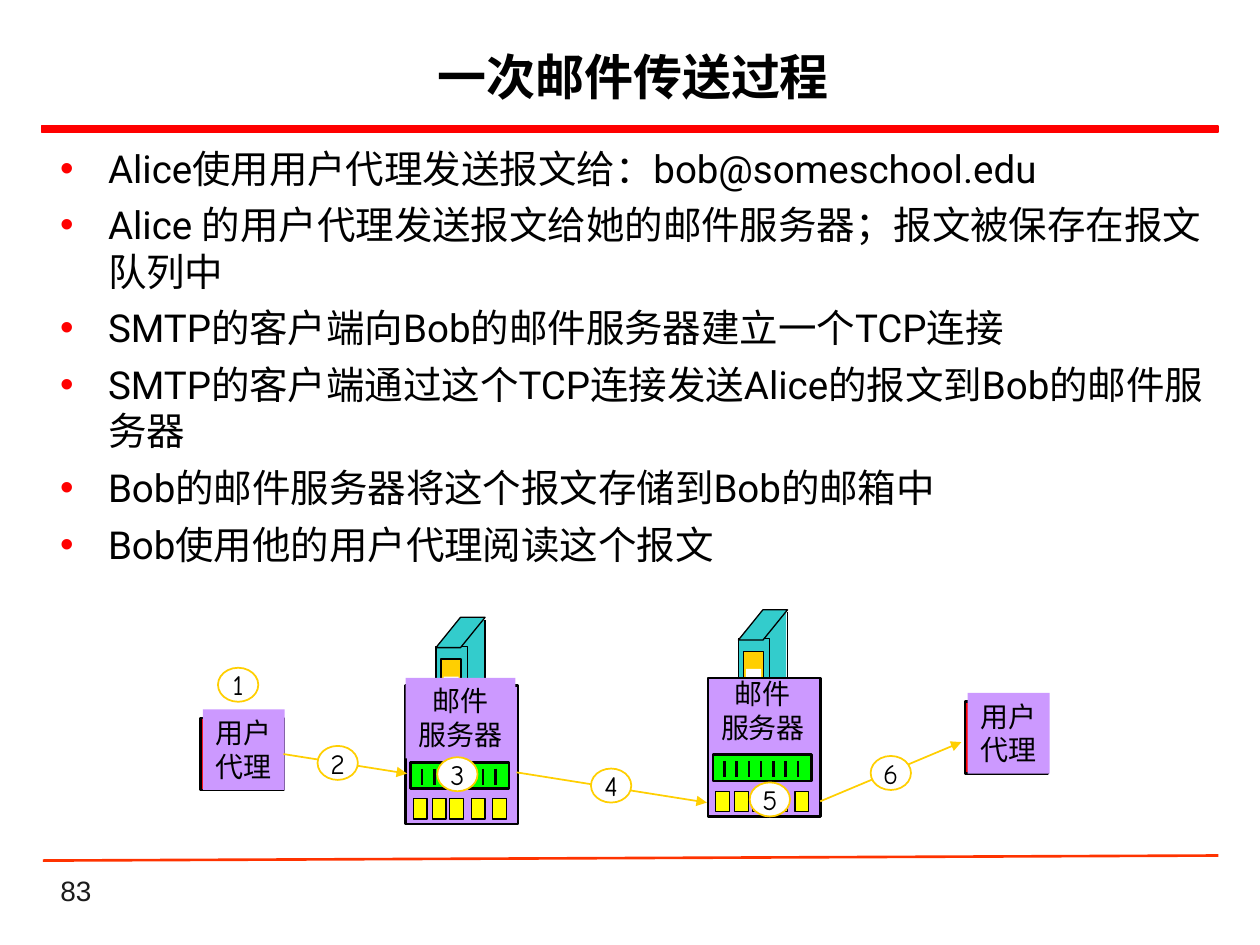
import pptx
import pptx.util
import pptx.dml.color
import pptx.enum.shapes
import pptx.enum.text
import pptx.oxml.ns
from lxml import etree

Inches = pptx.util.Inches
Pt = pptx.util.Pt
SHAPE = pptx.enum.shapes.MSO_SHAPE
ANCHOR = pptx.enum.text.MSO_ANCHOR
ALIGN = pptx.enum.text.PP_ALIGN
qn = pptx.oxml.ns.qn

COLORS = {
    "black": "000000", "white": "FFFFFF", "number": "1C1C1C", "red": "FF0000",
    "footer": "FF3300", "purple": "CC99FF", "teal": "33CCCC", "gold": "FFCF01",
    "green": "00FF00", "yellow": "FFFF00",
}
TITLE = "一次邮件传送过程"
STEPS = [
    "Alice使用用户代理发送报文给：bob@someschool.edu",
    "Alice 的用户代理发送报文给她的邮件服务器；报文被保存在报文队列中",
    "SMTP的客户端向Bob的邮件服务器建立一个TCP连接",
    "SMTP的客户端通过这个TCP连接发送Alice的报文到Bob的邮件服务器",
    "Bob的邮件服务器将这个报文存储到Bob的邮箱中",
    "Bob使用他的用户代理阅读这个报文",
]
MARKERS = [(1.73, 5.3), (2.52, 5.92), (3.47, 6.01), (4.69, 6.1), (5.95, 6.21), (6.91, 6)]


def rgb(name):
    return pptx.dml.color.RGBColor.from_string(COLORS[name])


def add_box(slide, box, fill, line=None, width=0.75, kind=SHAPE.RECTANGLE):
    shape = slide.shapes.add_shape(kind, *map(Inches, box))
    shape.shadow.inherit = False
    if fill:
        shape.fill.solid()
        shape.fill.fore_color.rgb = rgb(fill)
    else:
        shape.fill.background()
    if line:
        shape.line.color.rgb = rgb(line)
        shape.line.width = Pt(width)
    else:
        shape.line.fill.background()
    return shape


def add_line(slide, start, end, color, width, arrow=False):
    line = slide.shapes.add_connector(
        pptx.enum.shapes.MSO_CONNECTOR.STRAIGHT, *map(Inches, (*start, *end)))
    line.line.color.rgb = rgb(color)
    line.line.width = Pt(width)
    if arrow:
        etree.SubElement(line.line._get_or_add_ln(), qn("a:tailEnd"), type="triangle")
    etree.SubElement(line._element.spPr, qn("a:effectLst"))
    return line


def set_text(shape, text, size, font, color="black", bold=False,
             align=ALIGN.CENTER, anchor=ANCHOR.TOP, wrap=False):
    frame = shape.text_frame
    frame.text = text
    frame.word_wrap = wrap
    frame.vertical_anchor = anchor
    for paragraph in frame.paragraphs:
        paragraph.alignment = align
        for run in paragraph.runs:
            run.font.size = Pt(size)
            run.font.name = font
            run.font.bold = bold
            run.font.color.rgb = rgb(color)


def add_text(slide, box, text, size, font, **style):
    shape = slide.shapes.add_textbox(*map(Inches, box))
    set_text(shape, text, size, font, wrap=True, **style)
    return shape


def add_bullets(slide, box, items):
    shape = add_text(slide, box, "\n".join(items), 22, "Roboto", align=ALIGN.LEFT)
    for index, paragraph in enumerate(shape.text_frame.paragraphs):
        properties = paragraph._p.get_or_add_pPr()
        properties.set("marL", str(Inches(0.38)))
        properties.set("indent", str(-Inches(0.38)))
        bullet_color = etree.SubElement(properties, qn("a:buClr"))
        etree.SubElement(bullet_color, qn("a:srgbClr"), val=COLORS["red"])
        etree.SubElement(properties, qn("a:buFont"), typeface="Arial")
        etree.SubElement(properties, qn("a:buChar"), char="•")
        if index:
            paragraph.space_before = Pt(6)


def add_caption(slide, box, text, fill):
    caption = add_box(slide, box, fill)
    set_text(caption, text, 16, "Comic Neue")
    caption.text_frame.auto_size = pptx.enum.text.MSO_AUTO_SIZE.SHAPE_TO_FIT_TEXT


def add_agent(slide, x, y):
    frame = add_box(slide, (x, y, 0.66, 0.57), "red", "black", 1.5)
    add_caption(slide, (x + 0.02, y - 0.07, 0.65, 0.64), "用户\n代理", "purple")
    return frame


def add_server(slide, x, y, caption_fill):
    # Tower behind the server panel
    add_box(slide, (x + 0.44, y - 0.53, 0.18, 0.78), "teal")
    add_box(slide, (x + 0.24, y - 0.31, 0.25, 0.78), "teal", "black")
    roof = add_box(slide, (x + 0.24, y - 0.54, 0.39, 0.24), "teal", "black",
                   kind=SHAPE.PARALLELOGRAM)
    roof.adjustments[0] = 0.81
    add_line(slide, (x + 0.63, y - 0.52), (x + 0.63, y + 0.25), "black", 0.75)
    add_box(slide, (x + 0.28, y - 0.21, 0.16, 0.45), "gold", "black")
    add_box(slide, (x + 0.3, y - 0.07, 0.12, 0.16), "white")
    # Panel with its caption
    add_box(slide, (x, y, 0.89, 1.1), "purple", "black", 1.5)
    add_caption(slide, (x, y - 0.06, 0.87, 0.64), "邮件\n服务器", caption_fill)
    # Message queue
    add_box(slide, (x + 0.04, y + 0.61, 0.78, 0.21), "green", "black", 1.5)
    for index in range(7):
        tick = x + 0.13 + index * 0.097
        add_line(slide, (tick, y + 0.66), (tick, y + 0.79), "black", 1.5)
    # Mailboxes
    for offset in (0.06, 0.21, 0.35, 0.52, 0.69):
        add_box(slide, (x + offset, y + 0.9, 0.11, 0.16), "yellow", "black")


def add_marker(slide, number, x, y):
    marker = add_box(slide, (x, y, 0.32, 0.27), "white", "gold", 1, SHAPE.OVAL)
    set_text(marker, str(number), 16, "Comic Neue", anchor=ANCHOR.MIDDLE)


def main():
    presentation = pptx.Presentation()
    presentation.slide_width = Inches(10)
    presentation.slide_height = Inches(7.5)
    slide = presentation.slides.add_slide(presentation.slide_layouts[6])

    # Page frame
    add_text(slide, (0.38, 7, 2.08, 0.25), "83", 16, "Arial", color="number",
             align=ALIGN.LEFT, anchor=ANCHOR.BOTTOM)
    add_box(slide, (0.33, 1, 9.34, 0.05), "red", "red", 1)
    add_line(slide, (0.34, 6.83), (9.67, 6.79), "footer", 1.5)

    # Title and steps
    add_text(slide, (0.35, 0.25, 9.35, 0.7), TITLE, 28, "Roboto", bold=True,
             anchor=ANCHOR.MIDDLE)
    add_bullets(slide, (0.38, 1.1, 9.34, 5.64), STEPS)

    # Mail route
    sender = add_agent(slide, 1.59, 5.7)
    add_server(slide, 3.22, 5.44, "purple")
    add_server(slide, 5.62, 5.38, None)
    add_agent(slide, 7.66, 5.57)
    upload = add_line(slide, (2.25, 5.98), (3.23, 6.14), "gold", 1, arrow=True)
    upload.begin_connect(sender, 3)
    add_line(slide, (4.1, 6.13), (5.61, 6.37), "gold", 1, arrow=True)
    add_line(slide, (6.51, 6.36), (7.63, 5.89), "gold", 1, arrow=True)
    for number, (x, y) in enumerate(MARKERS, start=1):
        add_marker(slide, number, x, y)

    presentation.save("out.pptx")


if __name__ == "__main__":
    main()
